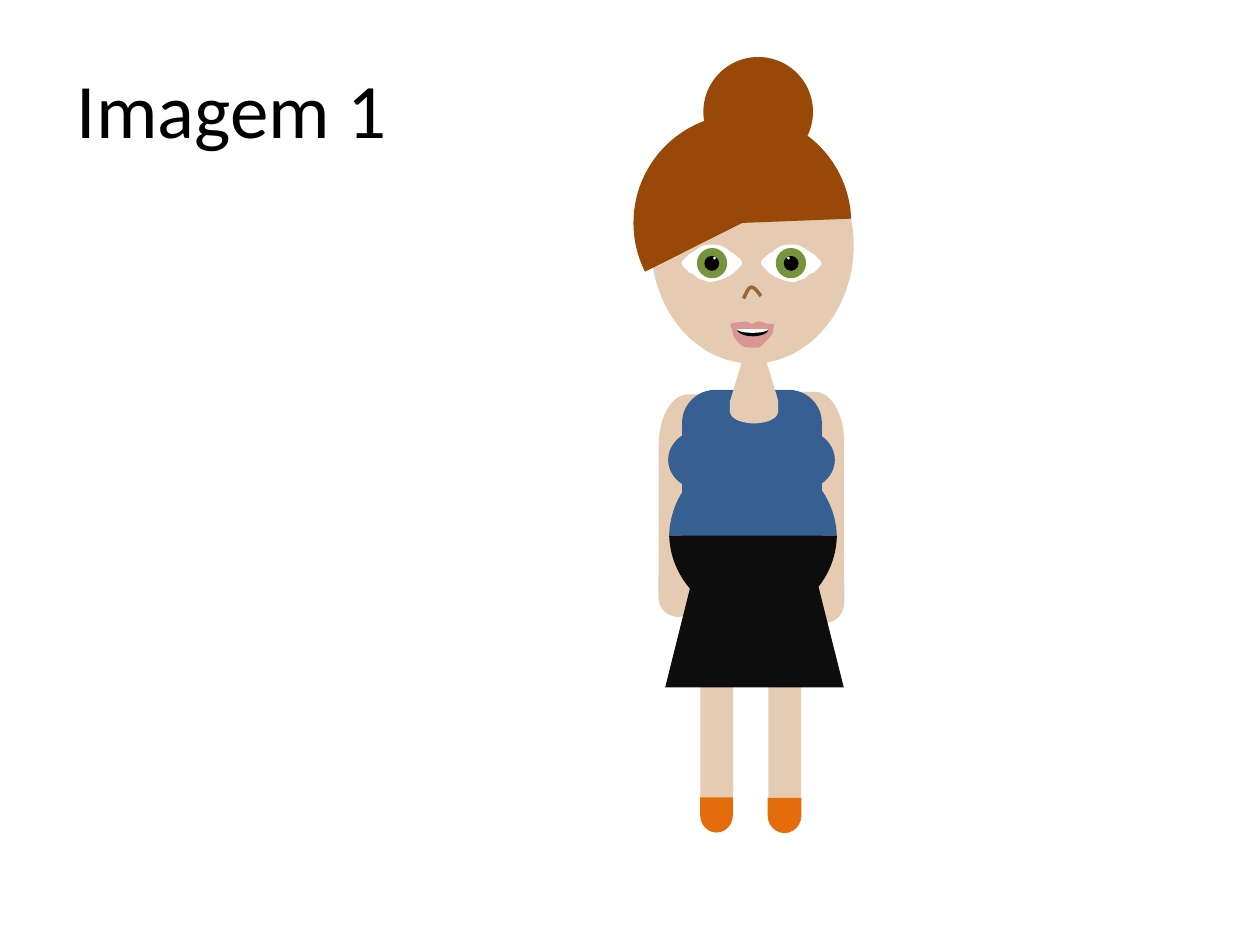
from dataclasses import dataclass

from lxml import etree
from pptx import Presentation
from pptx.dml.color import RGBColor
from pptx.enum.shapes import MSO_SHAPE
from pptx.enum.text import MSO_AUTO_SIZE
from pptx.oxml.ns import qn
from pptx.util import Cm, Pt

OVAL, RECT, PIE = MSO_SHAPE.OVAL, MSO_SHAPE.RECTANGLE, MSO_SHAPE.PIE
TRAPEZOID, ROUND_TOP = MSO_SHAPE.TRAPEZOID, MSO_SHAPE.ROUND_2_SAME_RECTANGLE
HALF_ROUND = MSO_SHAPE.FLOWCHART_DELAY
FIT_TEXT = MSO_AUTO_SIZE.SHAPE_TO_FIT_TEXT

AXIS = 15.15        # vertical symmetry axis of the figure, in cm


@dataclass(frozen=True)
class Theme:
    skin: str = "E5CBB1"
    hair: str = "984807"
    shirt: str = "376092"
    skirt: str = "0D0D0D"
    shoe: str = "E46C0A"
    iris: str = "77933C"
    lips: str = "D99694"
    nose: str = "9A6632"
    black: str = "000000"
    white: str = "FFFFFF"
    font: str = "Calibri"
    title_size: int = 44
    nose_width: int = 2


# Outlines: a start point, then lines (2 numbers) or Bezier curves (6 numbers)
ARM = [(16.43, 7.9), (16.13, 7.9), (16.13, 11.79), (17.02, 11.79), (17.02, 8.92),
       (17.02, 8.36, 16.76, 7.9, 16.43, 7.9)]
EYE = [(13.74, 5.31),
       (13.74, 5.26, 13.84, 5.18, 13.89, 5.13),
       (13.97, 5.08, 14.05, 5.03, 14.12, 4.98),
       (14.17, 4.95, 14.25, 4.93, 14.33, 4.93),
       (14.38, 4.93, 14.45, 4.93, 14.53, 4.95),
       (14.6, 4.98, 14.68, 5.03, 14.73, 5.08),
       (14.81, 5.11, 14.86, 5.18, 14.91, 5.21),
       (14.94, 5.26, 14.96, 5.26, 14.96, 5.31),
       (14.94, 5.36, 14.86, 5.44, 14.78, 5.51),
       (14.71, 5.56, 14.63, 5.61, 14.53, 5.64),
       (14.45, 5.66, 14.38, 5.69, 14.3, 5.69),
       (14.22, 5.66, 14.15, 5.64, 14.07, 5.61),
       (14.02, 5.56, 13.97, 5.51, 13.89, 5.49),
       (13.84, 5.44, 13.74, 5.36, 13.74, 5.31)]
NOSE = [(14.99, 6.02),
        (15.04, 5.92, 15.09, 5.79, 15.14, 5.79),
        (15.19, 5.77, 15.27, 5.87, 15.34, 5.97)]
LIPS = [(14.73, 6.53),
        (14.76, 6.5, 14.88, 6.5, 14.88, 6.5),
        (14.94, 6.5, 14.99, 6.48, 15.04, 6.48),
        (15.09, 6.48, 15.11, 6.53, 15.16, 6.53),
        (15.19, 6.53, 15.24, 6.48, 15.27, 6.48),
        (15.29, 6.48, 15.34, 6.48, 15.39, 6.5),
        (15.42, 6.5, 15.44, 6.5, 15.47, 6.53),
        (15.52, 6.53, 15.6, 6.53, 15.6, 6.53),
        (15.62, 6.55, 15.6, 6.55, 15.6, 6.58),
        (15.6, 6.63, 15.57, 6.68, 15.57, 6.73),
        (15.54, 6.78, 15.49, 6.83, 15.44, 6.88),
        (15.39, 6.93, 15.34, 6.99, 15.29, 7.01),
        (15.24, 7.01, 15.19, 7.01, 15.11, 7.01),
        (15.06, 7.01, 15.04, 7.01, 14.99, 6.99),
        (14.94, 6.96, 14.88, 6.91, 14.86, 6.88),
        (14.83, 6.83, 14.81, 6.81, 14.78, 6.76),
        (14.78, 6.73, 14.76, 6.68, 14.76, 6.65),
        (14.73, 6.6, 14.71, 6.55, 14.73, 6.53)]
BELLY = [(15.16, 9.14), (16.08, 9.14, 16.84, 9.88, 16.87, 10.8), (13.49, 10.8),
         (13.51, 9.88, 14.25, 9.14, 15.16, 9.14)]
BELLY_HEIGHT = 1.66


class Sketch:
    def __init__(self, theme, page):
        self.theme, self.page = theme, page
        self.group = page.shapes.add_group_shape()

    def paint(self, shape, fill, line=None, line_width=0, rotation=0):
        shape.shadow.inherit = False
        shape.rotation = rotation
        for target, color in ((shape.fill, fill), (shape.line.fill, line)):
            if color:
                target.solid()
                target.fore_color.rgb = RGBColor.from_string(color)
            else:
                target.background()
        if line:
            shape.line.width = Pt(line_width)

    def preset(self, kind, place, fill, adjust=(), rotation=0, mirrored=False):
        left, top, width, height = place
        if mirrored:
            left = 2 * AXIS - left - width
        shape = self.group.shapes.add_shape(kind, Cm(left), Cm(top), Cm(width), Cm(height))
        for index, value in enumerate(adjust):
            shape.adjustments[index] = value
        self.paint(shape, fill, rotation=rotation)

    def outline(self, outline, fill=None, mirrored=False, drop=0, close=True, **look):
        parts = [[(Cm(2 * AXIS - x if mirrored else x), Cm(y + drop))
                  for x, y in zip(part[::2], part[1::2])] for part in outline]
        builder = self.group.shapes.build_freeform(*parts[0][0])
        builder.add_line_segments([part[-1] for part in parts[1:]], close=close)
        shape = builder.convert_to_shape()
        self.bend(shape, parts[1:])
        self.paint(shape, fill, **look)

    def bend(self, shape, parts):
        """Turn the lines that have control points into Bezier curves."""
        lines = list(shape._element.iter(qn("a:lnTo")))
        for line, part in zip(lines, parts):
            if len(part) == 1:
                continue
            curve = etree.Element(qn("a:cubicBezTo"))
            for x, y in part:
                etree.SubElement(curve, qn("a:pt"), x=str(x - shape.left), y=str(y - shape.top))
            line.getparent().replace(line, curve)

    def title(self, text, place):
        box = self.page.shapes.add_textbox(*map(Cm, place))
        box.text_frame.word_wrap = False
        box.text_frame.auto_size = FIT_TEXT
        span = box.text_frame.paragraphs[0].add_run()
        span.text = text
        formats = {"name": self.theme.font, "size": Pt(self.theme.title_size)}
        for name, value in formats.items():
            setattr(span.font, name, value)
        span.font.color.rgb = RGBColor.from_string(self.theme.black)


def main():
    deck = Presentation()
    deck.slide_width, deck.slide_height = Cm(25.4), Cm(19.05)
    theme = Theme()
    sketch = Sketch(theme, deck.slides.add_slide(deck.slide_layouts[6]))

    # Hands, legs and arms
    for left, top in ((16.21, 11.75), (13.27, 11.63)):
        sketch.preset(HALF_ROUND, (left, top, 0.81, 0.81), theme.skin, rotation=90)
    for left in (15.49, 14.12):
        sketch.preset(RECT, (left, 12.29, 0.66, 3.8), theme.skin)
    sketch.outline(ARM, theme.skin)
    sketch.outline(ARM, theme.skin, mirrored=True, drop=0.05)

    # Skirt, shirt and neck
    sketch.preset(TRAPEZOID, (13.41, 10.31, 3.6, 3.55), theme.skirt)
    sketch.preset(ROUND_TOP, (13.75, 7.86, 2.82, 3.78), theme.shirt, (0.237, 0))
    sketch.preset(TRAPEZOID, (14.72, 6.78, 0.97, 1.3), theme.skin, (0.406,))

    # Head and hair
    sketch.preset(OVAL, (13.13, 2.56, 4.08, 4.77), theme.skin)
    sketch.preset(PIE, (12.77, 2.3, 4.39, 4.39), theme.hair, (38.054, 160.653), rotation=90)
    sketch.preset(OVAL, (14.18, 1.15, 2.21, 2.21), theme.hair)

    # Eyes
    for mirrored in (False, True):
        sketch.outline(EYE, theme.white, mirrored=mirrored)
        for left, top, size, color in ((14.05, 5, 0.61, theme.iris),
                                       (14.2, 5.16, 0.3, theme.black),
                                       (14.38, 5.18, 0.05, theme.white)):
            sketch.preset(OVAL, (left, top, size, size), color, mirrored=mirrored)

    # Nose and mouth
    sketch.outline(NOSE, close=False, line=theme.nose, line_width=theme.nose_width)
    sketch.outline(LIPS, theme.lips)
    for top, height, color in ((6.5, 0.28, theme.black), (6.56, 0.15, theme.white)):
        sketch.preset(PIE, (14.86, top, 0.63, height), color, (0, 108))

    # Neckline and body curves
    bust = (15.38, 8.65, 1.45, 1.24)
    sketch.preset(HALF_ROUND, (14.97, 7.82, 0.46, 0.97), theme.skin, rotation=90)
    sketch.preset(OVAL, bust, theme.shirt)
    sketch.outline(BELLY, theme.shirt)
    sketch.outline(BELLY, theme.skirt, drop=BELLY_HEIGHT, rotation=180)
    sketch.preset(OVAL, bust, theme.shirt, mirrored=True)

    # Shoes
    for left, width in ((14.09, 0.66), (15.46, 0.68)):
        sketch.preset(HALF_ROUND, (left, 16.1, 0.71, width), theme.shoe, rotation=90)

    sketch.title("Imagem 1", (1.3, 1.12, 6.81, 2.13))
    deck.save("out.pptx")


if __name__ == "__main__":
    main()
